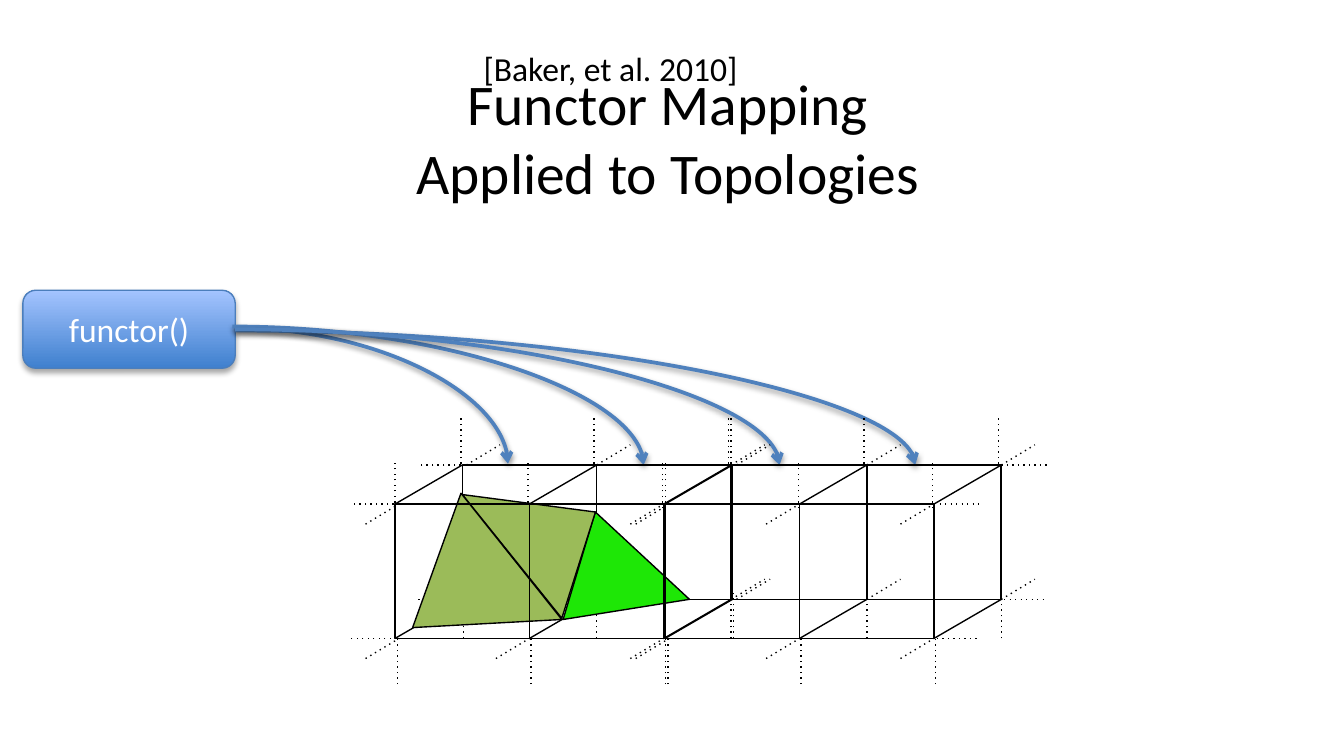
from lxml import etree
from pptx import Presentation
from pptx.dml.color import RGBColor
from pptx.enum.shapes import MSO_CONNECTOR, MSO_SHAPE
from pptx.enum.text import MSO_ANCHOR, MSO_AUTO_SIZE, PP_ALIGN
from pptx.oxml.ns import qn
from pptx.util import Emu, Pt

STRAIGHT, CURVE = MSO_CONNECTOR.STRAIGHT, MSO_CONNECTOR.CURVE
RECTANGLE, ROUNDED = MSO_SHAPE.RECTANGLE, MSO_SHAPE.ROUNDED_RECTANGLE
MIDDLE, TOP = MSO_ANCHOR.MIDDLE, MSO_ANCHOR.TOP
CENTER, LEFT = PP_ALIGN.CENTER, PP_ALIGN.LEFT
NO_FIT, FIT_SHAPE = MSO_AUTO_SIZE.NONE, MSO_AUTO_SIZE.SHAPE_TO_FIT_TEXT

PX = 9144  # EMU in one px, at 100 px to the inch
SLIDE_WIDTH = 1000
ASPECT = (16, 9)

THEME = {
    "font": "Calibri",
    "ink": "000000",
    "light": "FFFFFF",
    "arrow": "4F81BD",
    "button_line": "4B7EBC",
    "button_gradient": ("3F80CE", "A4C4FF"),
    "olive": "9BBB59",
    "green": "1EE706",
    "title_size": 30.8,
    "body_size": 18,
    "thin": 0.75,
    "thick": 2,
}

TITLE = ["Functor Mapping", "Applied to Topologies"]
TITLE_BOX = (47, 55, 900, 94)
CITATION = ["[Baker, et al. 2010]"]
CITATION_BOX = (350, 31, 214, 40)
FUNCTOR = ["functor()"]
FUNCTOR_BOX = (17, 216, 158, 58)
ARROWS = [  # start, end
    ((175, 244), (378, 345)),
    ((175, 246), (681, 346)),
    ((173, 243), (479, 346)),
    ((175, 245), (580, 346)),
]
TRIANGLES = [
    ("green", [(443, 381), (419, 461), (513, 446)]),
    ("olive", [(443, 381), (344, 368), (418, 460)]),
    ("olive", [(343, 367), (307, 467), (418, 461)]),
]

# Each pair of cubes: left edge of its front face, and triangles inside it
CUBE_PAIRS = [(294, TRIANGLES), (495, [])]
CUBE_TOP, CUBE_SIZE = 375, 100
DEPTH = (50, -29)       # from the front face to the back face
DIAGONAL_STUB = (25, -15)
SIDE_STUB, UPRIGHT_STUB = 36, 34
DIAGONAL_COLUMNS = (3, 100, 200)
UPRIGHT_COLUMNS = (0, 99, 199)
UPRIGHT_ROWS = [        # shift from the column, shift from the cube top
    (49, -30), (0, 3), (51, 100), (2, 134),
]


def emu(lengths):
    return [Emu(length * PX) for length in lengths]


def color(name):
    return RGBColor.from_string(THEME.get(name, name))


def set_line(item, name="ink", width="thin", dash=None, arrow=None):
    item.line.color.rgb = color(name)
    item.line.width = Pt(THEME[width])
    outline = item._element.spPr.find(qn("a:ln"))
    if dash:
        etree.SubElement(outline, qn("a:prstDash"), val=dash)
    if arrow:
        etree.SubElement(outline, qn("a:tailEnd"), type=arrow)


def set_shadow(item, opacity=0, distance=0):
    """Replace the style's shadow by a downward one, or by none."""
    effects = etree.SubElement(item._element.spPr, qn("a:effectLst"))
    if opacity:
        shadow = etree.SubElement(
            effects, qn("a:outerShdw"), blurRad=str(Pt(3.1)),
            dist=str(Pt(distance)), dir="5400000", rotWithShape="0")
        shade = etree.SubElement(shadow, qn("a:srgbClr"), val=THEME["ink"])
        etree.SubElement(shade, qn("a:alpha"), val=str(opacity * 1000))


def write(shape, lines, size="body_size", ink="ink", align=LEFT, **frame_format):
    frame = shape.text_frame
    for name, value in frame_format.items():
        setattr(frame, name, value)
    font_format = {"name": THEME["font"], "size": Pt(THEME[size])}
    for index, line in enumerate(lines):
        paragraph = frame.add_paragraph() if index else frame.paragraphs[0]
        paragraph.text = line
        paragraph.alignment = align
        for name, value in font_format.items():
            setattr(paragraph.font, name, value)
        paragraph.font.color.rgb = color(ink)


def add_line(shapes, start, end, dash=None):
    line = shapes.add_connector(STRAIGHT, *emu(start + end))
    set_line(line, dash=dash)
    set_shadow(line)


def add_face(shapes, left, top):
    face = shapes.add_shape(RECTANGLE, *emu((left, top, CUBE_SIZE, CUBE_SIZE)))
    face.fill.background()
    set_line(face)
    set_shadow(face)


def add_triangle(shapes, fill, corners):
    builder = shapes.build_freeform(*corners[0], scale=PX)
    builder.add_line_segments(corners[1:], close=True)
    triangle = builder.convert_to_shape()
    triangle.fill.solid()
    triangle.fill.fore_color.rgb = color(fill)
    set_line(triangle)
    set_shadow(triangle)


def add_dotted_stubs(shapes, left):
    """Extend the edges of a pair of cubes past its corners."""
    step_x, step_y = DIAGONAL_STUB
    for index, column in enumerate(DIAGONAL_COLUMNS):
        for row, shift in ((0, 0), (CUBE_SIZE, -2)):
            x, y = left + column, CUBE_TOP + row
            back_x, back_y = x + DEPTH[0], y + DEPTH[1]
            add_line(shapes, (x - step_x, y - step_y), (x, y), "dot")
            add_line(shapes, (back_x, back_y),
                     (back_x + step_x, back_y + step_y), "dot")
            reach = SIDE_STUB if index else -SIDE_STUB
            for node_x, node_y in ((x, y), (back_x, back_y)):
                add_line(shapes, (node_x + shift, node_y),
                         (node_x + shift + reach, node_y), "dot")
    for column in UPRIGHT_COLUMNS:
        for shift, row in UPRIGHT_ROWS:
            x, y = left + column + shift, CUBE_TOP + row
            add_line(shapes, (x, y), (x, y - UPRIGHT_STUB), "dot")


def add_cube_pair(slide, left, triangles):
    shapes = slide.shapes.add_group_shape().shapes
    for column in (0, 1, 2):
        for row in (0, 1):
            x, y = left + column * CUBE_SIZE, CUBE_TOP + row * CUBE_SIZE
            add_line(shapes, (x, y), (x + DEPTH[0], y + DEPTH[1]))
    for column in (0, 1):
        add_face(shapes, left + column * CUBE_SIZE + DEPTH[0], CUBE_TOP + DEPTH[1])
    add_dotted_stubs(shapes, left)
    for fill, corners in triangles:
        add_triangle(shapes, fill, corners)
    for column in (1, 0):
        add_face(shapes, left + column * CUBE_SIZE, CUBE_TOP)


def add_functor(slide):
    button = slide.shapes.add_shape(ROUNDED, *emu(FUNCTOR_BOX))
    button.fill.gradient()
    button.fill.gradient_angle = 90
    for stop, shade in zip(button.fill.gradient_stops, THEME["button_gradient"]):
        stop.color.rgb = color(shade)
    set_line(button, "button_line")
    set_shadow(button, opacity=35, distance=1.8)
    write(button, FUNCTOR, ink="light", align=CENTER, vertical_anchor=MIDDLE)


def add_arrow(slide, start, end):
    arrow = slide.shapes.add_connector(CURVE, *emu(start + end))
    arrow._element.spPr.find(qn("a:prstGeom")).set("prst", "curvedConnector2")
    set_line(arrow, "arrow", "thick", arrow="arrow")
    set_shadow(arrow, opacity=38, distance=1.6)


def main():
    presentation = Presentation()
    presentation.slide_width = Emu(SLIDE_WIDTH * PX)
    presentation.slide_height = Emu(SLIDE_WIDTH * PX * ASPECT[1] // ASPECT[0])
    slide = presentation.slides.add_slide(presentation.slide_layouts[5])

    add_functor(slide)
    for start, end in ARROWS:
        add_arrow(slide, start, end)

    title = slide.shapes.title
    title.left, title.top, title.width, title.height = emu(TITLE_BOX)
    write(title, TITLE, "title_size", align=CENTER, vertical_anchor=MIDDLE,
          word_wrap=True, auto_size=NO_FIT)
    citation = slide.shapes.add_textbox(*emu(CITATION_BOX))
    write(citation, CITATION, vertical_anchor=TOP, word_wrap=False,
          auto_size=FIT_SHAPE)

    for left, triangles in CUBE_PAIRS:
        add_cube_pair(slide, left, triangles)
    presentation.save("out.pptx")


if __name__ == "__main__":
    main()
